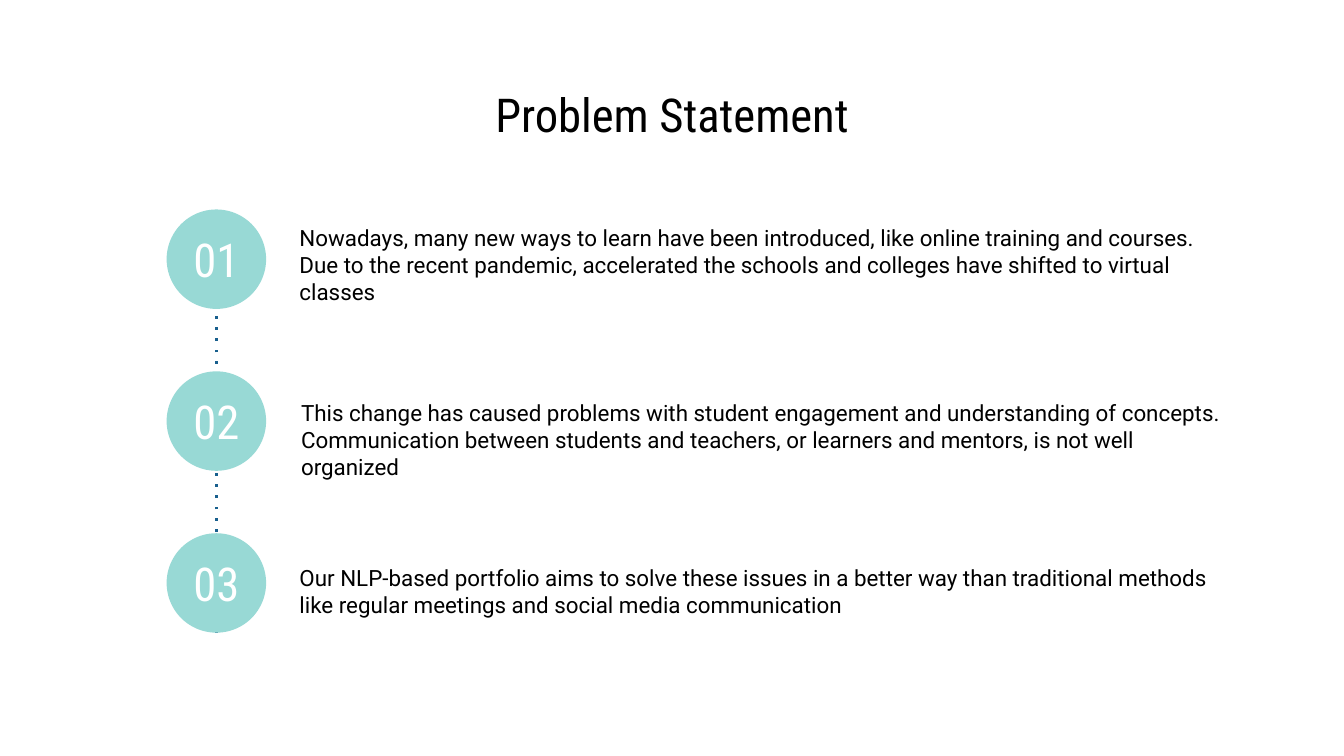
from dataclasses import dataclass

import pptx
import pptx.dml.color
import pptx.enum.shapes
import pptx.enum.text
import pptx.oxml
import pptx.oxml.ns
import pptx.util

Cm = pptx.util.Cm
Pt = pptx.util.Pt
Align = pptx.enum.text.PP_ALIGN
Kind = pptx.enum.shapes.MSO_SHAPE

HUES = {"ink": "000000", "white": "FFFFFF", "mint": "98D9D5", "blue": "185F8D"}
HEAD = {"name": "Roboto Condensed", "size": Pt(25)}
BODY = {"name": "Roboto", "size": Pt(12)}
FRAME = {
    "word_wrap": True,
    "vertical_anchor": pptx.enum.text.MSO_ANCHOR.MIDDLE,
    "margin_left": 0,
    "margin_right": 0,
    "margin_top": 0,
    "margin_bottom": 0,
}

LEFT, TOP, SIZE, PITCH = 3.15, 3.96, 1.88, 3.06
DROP, TALL = 0.59, 0.69


@dataclass
class Box:
    left: float
    top: float
    width: float
    height: float

    def place(self) -> tuple:
        return Cm(self.left), Cm(self.top), Cm(self.width), Cm(self.height)


@dataclass
class Step:
    box: Box
    text: str


STEPS = [
    Step(Box(5.66, 3.94, 17.37, 2.11),
         "Nowadays, many new ways to learn have been introduced, like online "
         "training and courses. Due to the recent pandemic, accelerated the "
         "schools and colleges have shifted to virtual classes"),
    Step(Box(5.69, 7.06, 17.53, 2.51),
         "This change has caused problems with student engagement and "
         "understanding of concepts. Communication between students and "
         "teachers, or learners and mentors, is not well organized"),
    Step(Box(5.66, 10.19, 17.53, 1.96),
         "Our NLP-based portfolio aims to solve these issues in a better way "
         "than traditional methods like regular meetings and social media "
         "communication"),
]


def tint(hue: str) -> pptx.dml.color.RGBColor:
    return pptx.dml.color.RGBColor.from_string(HUES[hue])


def apply(target: object, values: dict) -> None:
    for key, value in values.items():
        setattr(target, key, value)


def write(shapes, box: Box, text: str, font: dict,
          hue: str = "ink", align: Align = Align.LEFT) -> None:
    frame = shapes.add_textbox(*box.place()).text_frame
    apply(frame, FRAME)
    line = frame.paragraphs[0]
    line.alignment = align
    run = line.add_run()
    run.text = text
    apply(run.font, font)
    run.font.color.rgb = tint(hue)


def trail(shapes) -> None:
    mid = Cm(LEFT + SIZE / 2)
    end = Cm(TOP + PITCH * (len(STEPS) - 1) + SIZE)
    link = shapes.add_connector(
        pptx.enum.shapes.MSO_CONNECTOR.STRAIGHT, mid, end, mid, Cm(TOP))
    link.line.color.rgb = tint("blue")
    link.line.width = Pt(1.5)
    props = link._element.spPr
    dash = pptx.oxml.parse_xml(
        f'<a:prstDash {pptx.oxml.ns.nsdecls("a")} val="dot"/>')
    props.find(pptx.oxml.ns.qn("a:ln")).append(dash)
    props.append(pptx.oxml.parse_xml(
        f'<a:effectLst {pptx.oxml.ns.nsdecls("a")}/>'))


def badge(shapes, index: int) -> None:
    top = TOP + PITCH * index
    group = shapes.add_group_shape().shapes
    disc = group.add_shape(
        Kind.FLOWCHART_CONNECTOR, *Box(LEFT, top, SIZE, SIZE).place())
    disc.shadow.inherit = False
    disc.fill.solid()
    disc.fill.fore_color.rgb = tint("mint")
    disc.line.fill.background()
    write(group, Box(LEFT, top + DROP, SIZE, TALL), f"{index + 1:02d}",
          HEAD, "white", Align.CENTER)


def main() -> None:
    deck = pptx.Presentation()
    apply(deck, {"slide_width": Cm(25.4), "slide_height": Cm(14.29)})
    shapes = deck.slides.add_slide(deck.slide_layouts[6]).shapes
    trail(shapes)
    write(shapes, Box(1.98, 1.5, 21.44, 1.32), "Problem Statement",
          HEAD, align=Align.CENTER)
    for index, step in enumerate(STEPS):
        badge(shapes, index)
        write(shapes, step.box, step.text, BODY)
    deck.save("out.pptx")


if __name__ == "__main__":
    main()
